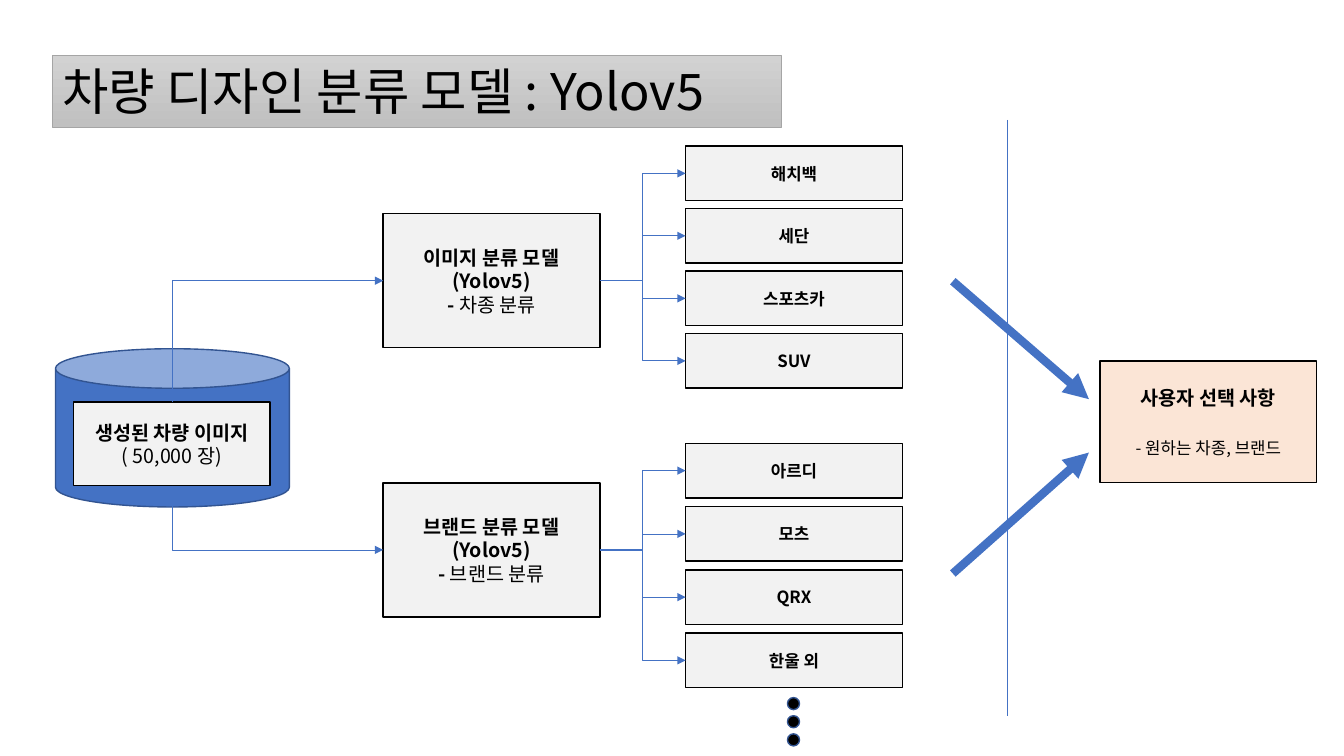
from lxml.etree import SubElement
from pptx import Presentation
from pptx.dml.color import RGBColor
from pptx.enum.shapes import MSO_CONNECTOR, MSO_SHAPE
from pptx.enum.text import MSO_ANCHOR, MSO_AUTO_SIZE, PP_ALIGN
from pptx.oxml.ns import qn
from pptx.util import Inches, Pt

FONT = "Noto Sans CJK KR"
BLUE = RGBColor(0x44, 0x72, 0xC4)
NAVY = RGBColor(0x32, 0x54, 0x91)
BLACK = RGBColor(0, 0, 0)
PALE = RGBColor(0xF2, 0xF2, 0xF2)
PEACH = RGBColor(0xFB, 0xE5, 0xD6)
EDGE = RGBColor(0xA5, 0xA5, 0xA5)
LIGHT = RGBColor(0xD2, 0xD2, 0xD2)
DARK = RGBColor(0xC0, 0xC0, 0xC0)

# Grid: 133.3 columns by 75 rows of square cells
CELL = Inches(0.1)
BOX = 21.5  # columns in a standard box
LEAF = 5.4  # rows in a class box

GROUPS = [
    # model top, class top, class step, title, task, classes
    (21.2, 14.5, 6.2, "이미지 분류 모델", "차종 분류",
     ["해치백", "세단", "스포츠카", "SUV"]),
    (47.9, 44, 6.27, "브랜드 분류 모델", "브랜드 분류",
     ["아르디", "모츠", "QRX", "한울 외"]),
]


def grid(*cells):
    return [round(n * CELL) for n in cells]


def shape(slide, kind, place, fill=PALE, line=BLACK, weight=1):
    item = slide.shapes.add_shape(kind, *grid(*place))
    item.shadow.inherit = False
    item.fill.solid()
    item.fill.fore_color.rgb = fill
    item.line.color.rgb = line
    item.line.width = Pt(weight)
    return item


def write(item, lines, size=14, align=PP_ALIGN.CENTER, anchor=MSO_ANCHOR.MIDDLE):
    """Fill a shape with lines, each a list of (text, bold) runs."""
    frame = item.text_frame
    frame.word_wrap = True
    frame.vertical_anchor = anchor
    for i, runs in enumerate(lines):
        para = frame.paragraphs[0] if i == 0 else frame.add_paragraph()
        para.alignment = align
        for text, bold in runs:
            run = para.add_run()
            run.text = text
            font = run.font
            font.name, font.size, font.bold = FONT, Pt(size), bold
            font.color.rgb = BLACK
            SubElement(run._r.get_or_add_rPr(), qn("a:ea")).set("typeface", FONT)
    return frame


def box(slide, place, lines, size=14, fill=PALE):
    item = shape(slide, MSO_SHAPE.RECTANGLE, place, fill)
    write(item, lines, size)
    return item


def link(slide, start, end, kind=MSO_CONNECTOR.STRAIGHT, weight=0.5, head=True):
    wire = slide.shapes.add_connector(kind, *grid(*start, *end))
    wire.line.color.rgb = BLUE
    wire.line.width = Pt(weight)
    if head:
        SubElement(wire.line._get_or_add_ln(), qn("a:tailEnd")).set("type", "triangle")
    SubElement(wire._element.spPr, qn("a:effectLst"))
    return wire


def corner(slide, start, end):
    """Draw a one-bend arrow that leaves vertically and arrives from the left."""
    (x1, y1), (x2, y2) = start, end
    midx, midy = (x1 + x2) / 2, (y1 + y2) / 2
    halfx, halfy = abs(y2 - y1) / 2, (x2 - x1) / 2
    down = y2 > y1
    if down:
        halfy = -halfy
    wire = link(slide, (midx + halfx, midy + halfy), (midx - halfx, midy - halfy),
                MSO_CONNECTOR.ELBOW)
    props = wire._element.spPr
    props.find(qn("a:xfrm")).set("rot", str((270 if down else 90) * 60000))
    props.find(qn("a:prstGeom")).set("prst", "bentConnector2")


def title(slide):
    bar = shape(slide, MSO_SHAPE.RECTANGLE, (5.2, 5.5, 72.3, 7.1), LIGHT, EDGE, 0.5)
    bar.fill.gradient()
    bar.fill.gradient_angle = 270
    for stop, tint in zip(bar.fill.gradient_stops, (LIGHT, DARK)):
        stop.color.rgb = tint
    frame = write(bar, [[("차량 디자인 분류 모델 : Yolov5", False)]], 36,
                  PP_ALIGN.LEFT, MSO_ANCHOR.TOP)
    frame.word_wrap = False
    frame.auto_size = MSO_AUTO_SIZE.SHAPE_TO_FIT_TEXT


def source(slide):
    shape(slide, MSO_SHAPE.CAN, (5.5, 34.6, 23.2, 15.7), BLUE, NAVY)
    box(slide, (7.3, 39.9, 19.5, 8.3),
        [[("생성된 차량 이미지", True)], [("( 50,000 장)", False)]])


def group(slide, top, first, step, name, task, classes):
    model = box(slide, (38, top, BOX, 13.3),
                [[(name, True)], [("(Yolov5)", True)], [("- ", True), (task, False)]])
    mid = top + 13.3 / 2
    for i, label in enumerate(classes):
        row = first + i * step
        leaf = box(slide, (68, row, BOX, LEAF), [[(label, True)]], 12)
        wire = link(slide, (38 + BOX, mid), (68, row + LEAF / 2), MSO_CONNECTOR.ELBOW)
        wire.begin_connect(model, 3)
        wire.end_connect(leaf, 1)
    corner(slide, (17.1, 39.9 if mid < 39.9 else 48.2), (38, mid))


def choice(slide):
    pick = box(slide, (109.1, 35.8, BOX, 12.1),
               [[("사용자 선택 사항", True)], [("- 원하는 차종, 브랜드", False)]], fill=PEACH)
    note = pick.text_frame.paragraphs[1]
    note.space_before = Pt(20)
    note.runs[0].font.size = Pt(12)
    link(slide, (99.9, 11.9), (99.9, 71), head=False)
    link(slide, (94.5, 27.9), (108, 39.6), weight=6)
    link(slide, (94.5, 56.9), (108, 44.9), weight=6)


def dots(slide):
    for i in range(3):
        shape(slide, MSO_SHAPE.OVAL, (78.1, 69.2 + 1.8 * i, 1.2, 1.2), BLACK, NAVY)


def main():
    deck = Presentation()
    deck.slide_width, deck.slide_height = Inches(13.33), Inches(7.5)
    slide = deck.slides.add_slide(deck.slide_layouts[6])
    title(slide)
    source(slide)
    for row in GROUPS:
        group(slide, *row)
    dots(slide)
    choice(slide)
    deck.save("out.pptx")


if __name__ == "__main__":
    main()
